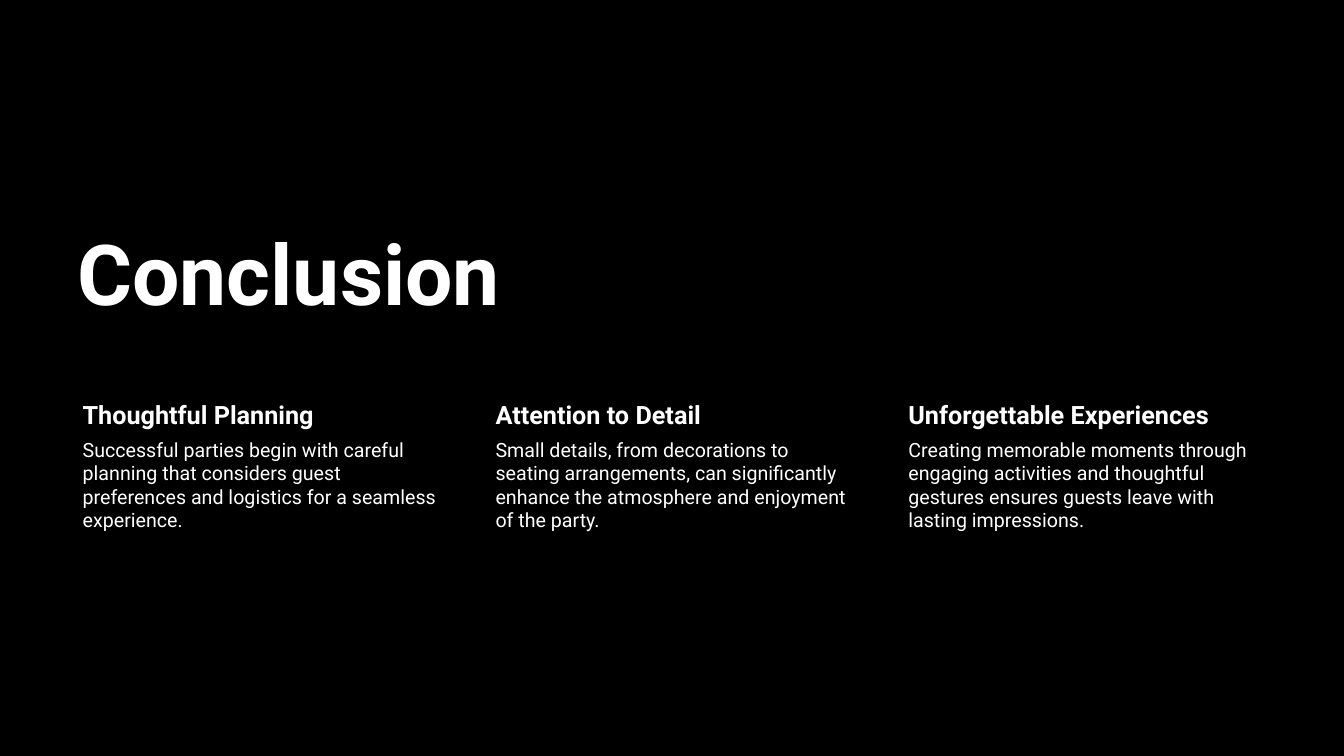
from pptx import Presentation
from pptx.dml.color import RGBColor
from pptx.enum.text import MSO_ANCHOR as Anchor
from pptx.util import Inches, Pt

BLACK = RGBColor(0x00, 0x00, 0x00)
WHITE = RGBColor(0xFF, 0xFF, 0xFF)
FONT = "Roboto"
SLIDE_WIDTH, SLIDE_HEIGHT = 13.33, 7.5
MARGIN = 0.67
CONTENT_WIDTH = 11.91
COLUMN_WIDTH = 3.72
HEADING_HEIGHT = 0.39

TAKEAWAYS = [
    ("Thoughtful Planning",
     "Successful parties begin with careful planning that considers guest "
     "preferences and logistics for a seamless experience."),
    ("Attention to Detail",
     "Small details, from decorations to seating arrangements, can "
     "significantly enhance the atmosphere and enjoyment of the party."),
    ("Unforgettable Experiences",
     "Creating memorable moments through engaging activities and thoughtful "
     "gestures ensures guests leave with lasting impressions."),
]


def add_text(page, area, text, size, bold=False, insets=(0.1, 0.05),
             anchor=Anchor.TOP, line_spacing=1.0):
    box = page.shapes.add_textbox(*(Inches(length) for length in area))
    frame = box.text_frame
    frame.word_wrap = True
    frame.vertical_anchor = anchor
    left, top = insets
    frame.margin_left = Inches(left)
    frame.margin_top = frame.margin_bottom = Inches(top)
    frame.margin_right = Inches(top)
    para = frame.paragraphs[0]
    para.text = text
    para.line_spacing = line_spacing
    para.font.name = FONT
    para.font.size = Pt(size)
    para.font.bold = bold
    para.font.color.rgb = WHITE


def add_title(page, area, text):
    add_text(page, area, text, 60, bold=True, anchor=Anchor.BOTTOM,
             line_spacing=0.9)


def add_takeaway(page, area, heading, body):
    left, top, width, height = area
    add_text(page, (left, top, width, HEADING_HEIGHT), heading, 18, bold=True,
             insets=(0.15, 0.03))
    add_text(page, (left, top + HEADING_HEIGHT, width, height - HEADING_HEIGHT),
             body, 14, insets=(0.15, 0.02))


def add_takeaways(page, area, takeaways):
    left, top, width, height = area
    step = (width - COLUMN_WIDTH) / (len(takeaways) - 1)
    for column, (heading, body) in enumerate(takeaways):
        add_takeaway(page, (left + column * step, top, COLUMN_WIDTH, height),
                     heading, body)


def main():
    deck = Presentation()
    deck.slide_width = Inches(SLIDE_WIDTH)
    deck.slide_height = Inches(SLIDE_HEIGHT)
    page = deck.slides.add_slide(deck.slide_layouts[6])
    page.background.fill.solid()
    page.background.fill.fore_color.rgb = BLACK
    add_title(page, (MARGIN, 2.02, 8.03, 1.24), "Conclusion")
    add_takeaways(page, (MARGIN, 3.93, CONTENT_WIDTH, 2.72), TAKEAWAYS)
    deck.save("out.pptx")


if __name__ == "__main__":
    main()
